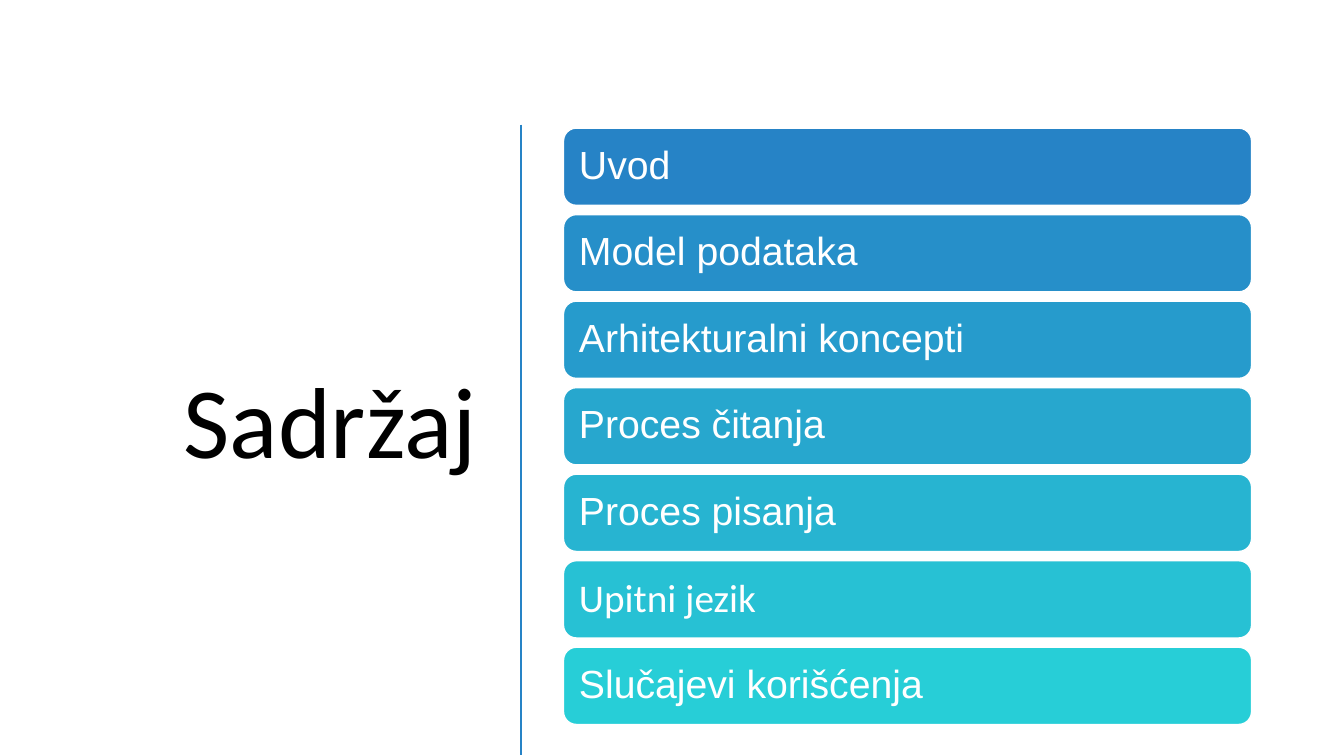
import pptx
import pptx.util
import pptx.dml.color
import pptx.enum.shapes
import pptx.enum.text
import pptx.oxml.ns
import lxml.etree
from dataclasses import dataclass

Pt = pptx.util.Pt
ALIGN = pptx.enum.text.PP_ALIGN
MIDDLE = pptx.enum.text.MSO_ANCHOR.MIDDLE


@dataclass(frozen=True)
class Theme:
    title_font: str = "Calibri"
    topic_font: str = "Arial"
    title_size: float = 72
    topic_size: float = 28
    line_spacing: float = 0.9
    ink: str = "000000"
    paper: str = "FFFFFF"
    accent: str = "2683C6"
    topic_fills: tuple = ("2683C6", "268FC9", "269BCC", "27A7CE",
                          "27B4D1", "27C1D4", "27CED7")


def rgb(value):
    return pptx.dml.color.RGBColor.from_string(value)


class AgendaSlide:
    def __init__(self, deck, theme):
        self.theme = theme
        self.slide = deck.slides.add_slide(deck.slide_layouts[5])  # title only

    def place(self, shape, left, top, width, height):
        shape.left, shape.top = Pt(left), Pt(top)
        shape.width, shape.height = Pt(width), Pt(height)

    def add_wording(self, frame, wording, font, size, color, align):
        frame.word_wrap = True
        frame.vertical_anchor = MIDDLE
        paragraph = frame.paragraphs[0]
        paragraph.alignment = align
        paragraph.line_spacing = self.theme.line_spacing
        run = paragraph.add_run()
        run.text = wording
        run.font.name = font
        run.font.size = Pt(size)
        run.font.color.rgb = rgb(color)

    def title(self, wording, left, top, width, height):
        heading = self.slide.shapes.title
        self.place(heading, left, top, width, height)
        self.add_wording(heading.text_frame, wording, self.theme.title_font,
                         self.theme.title_size, self.theme.ink, ALIGN.RIGHT)

    def divider(self, x, top, bottom):
        rule = self.slide.shapes.add_connector(
            pptx.enum.shapes.MSO_CONNECTOR.STRAIGHT,
            Pt(x), Pt(top), Pt(x), Pt(bottom))
        rule.line.color.rgb = rgb(self.theme.accent)
        rule.line.width = Pt(2)
        lxml.etree.SubElement(rule._element.spPr,
                              pptx.oxml.ns.qn("a:effectLst"))

    def topic(self, wording, font, fill, left, top, width, height):
        card = self.slide.shapes.add_shape(
            pptx.enum.shapes.MSO_SHAPE.ROUNDED_RECTANGLE,
            Pt(left), Pt(top), Pt(width), Pt(height))
        card.shadow.inherit = False
        card.fill.solid()
        card.fill.fore_color.rgb = rgb(fill)
        card.line.color.rgb = rgb(self.theme.paper)
        card.line.width = Pt(1)
        frame = card.text_frame
        frame.margin_left = frame.margin_right = Pt(8.4)
        frame.margin_top = frame.margin_bottom = Pt(8.4)
        self.add_wording(frame, wording, font, self.theme.topic_size,
                         self.theme.paper, ALIGN.LEFT)


def main():
    deck = pptx.Presentation()
    deck.slide_width, deck.slide_height = Pt(960), Pt(540)
    theme = Theme()
    agenda = AgendaSlide(deck, theme)

    # Heading and vertical divider
    agenda.title("Sadržaj", 37.4, 84.2, 310.3, 440)
    agenda.divider(372.2, 89, 539.5)

    # Agenda topics, evenly stacked
    topics = [
        ("Uvod", theme.topic_font),
        ("Model podataka", theme.topic_font),
        ("Arhitekturalni koncepti", theme.topic_font),
        ("Proces čitanja", theme.topic_font),
        ("Proces pisanja", theme.topic_font),
        ("Upitni jezik", theme.title_font),
        ("Slučajevi korišćenja", theme.topic_font),
    ]
    first_top, pitch = 91.5, 61.8
    for row, ((wording, font), fill) in enumerate(zip(topics, theme.topic_fills)):
        agenda.topic(wording, font, fill,
                     402.5, first_top + row * pitch, 491.5, 55.2)

    deck.save("out.pptx")


if __name__ == "__main__":
    main()
